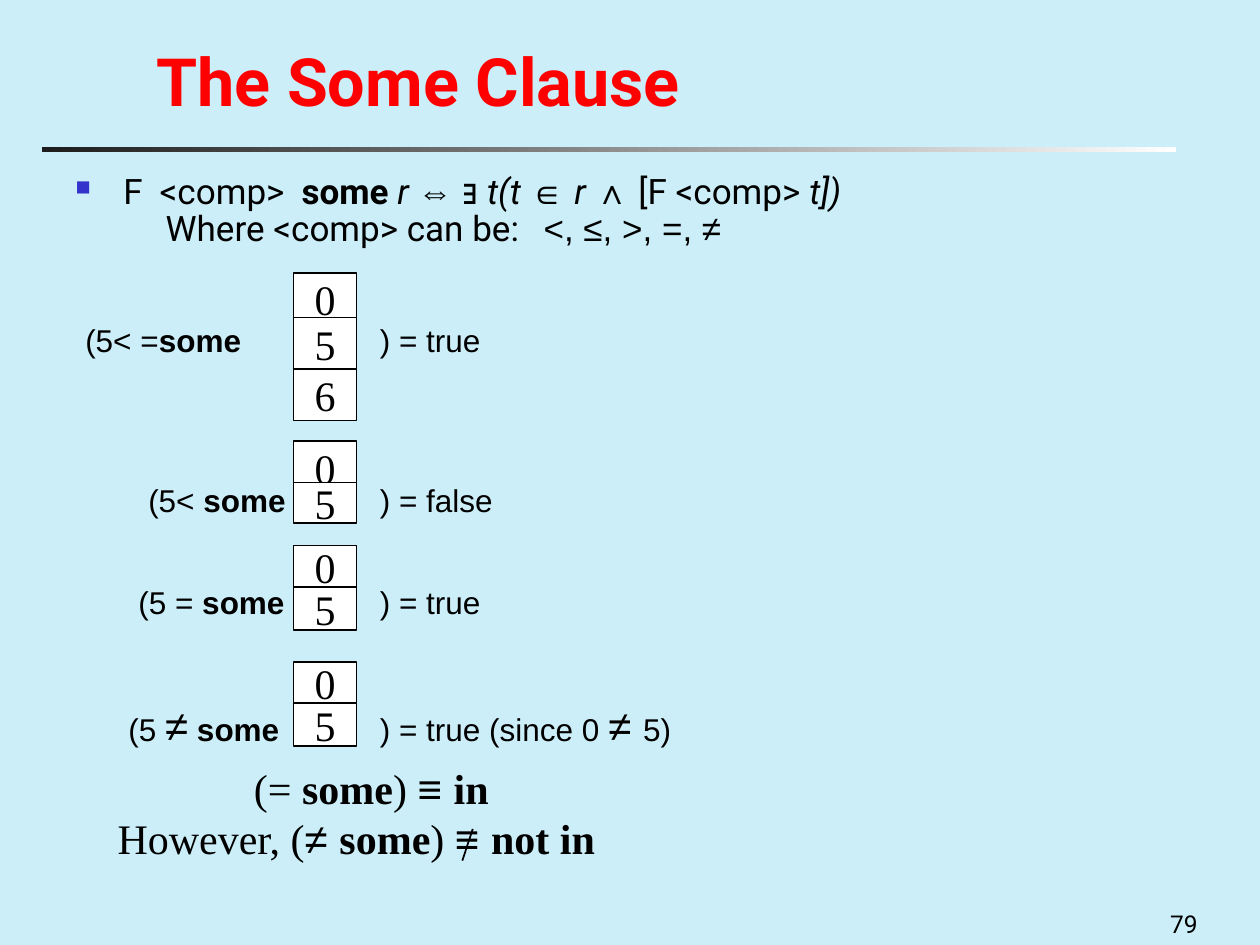
from lxml import etree
from pptx import Presentation
from pptx import util as u
from pptx.dml.color import RGBColor
from pptx.enum import shapes, text
from pptx.oxml import ns

ROBOTO = {"name": "Roboto", "size": u.Pt(20)}
ARIAL = {"name": "Arial", "size": u.Pt(18)}
TIMES = {"name": "Times New Roman", "size": u.Pt(24)}
SYMBOL = {"name": "Arial"}
LARGE = {"size": u.Pt(24)}
BOLD = {"bold": True}
ITALIC = {"italic": True}

COMPARISONS = [
    {"top": 5.51, "label_left": 1.47, "label_top": 0.84,
     "cells": [("0", 0, 1.04), ("5", 0.89, 1.04), ("6", 1.93, 1.04)],
     "before": [("(5< =", {}), ("some", BOLD)],
     "after": [(") = true", {})]},
    {"top": 8.89, "label_left": 2.74, "label_top": 0.69,
     "cells": [("0", 0, 1.07), ("5", 0.84, 0.81)],
     "before": [("(5< ", {}), ("some", BOLD)],
     "after": [(") = false", {})]},
    {"top": 11, "label_left": 2.54, "label_top": 0.63,
     "cells": [("0", 0, 0.86), ("5", 0.84, 0.86)],
     "before": [("(5 = ", {}), ("some", BOLD)],
     "after": [(") = true", {})]},
    {"top": 13.34, "label_left": 2.34, "label_top": 0.63,
     "cells": [("0", 0, 0.86), ("5", 0.84, 0.86)],
     "before": [("(5 ", {}), ("≠", LARGE), (" ", {}), ("some", BOLD)],
     "after": [(") = true (since 0 ", {}), ("≠ ", LARGE), ("5)", {})]},
]


def colour(value):
    """Turn a hex string into a colour."""
    return RGBColor.from_string(value)


def add_element(parent, tag, **attributes):
    """Append a drawing element with the given attributes."""
    return etree.SubElement(parent, ns.qn(tag), attributes)


def write_spans(para, spans, base, fill="000000"):
    """Write formatted spans that share a base format."""
    for words, changes in spans:
        span = para.add_run()
        span.text = words
        for key, value in {**base, **changes}.items():
            setattr(span.font, key, value)
        span.font.color.rgb = colour(fill)


def add_box(page, box, wrap=True, anchor=text.MSO_ANCHOR.TOP):
    """Add a text box and return its frame."""
    frame = page.shapes.add_textbox(*map(u.Cm, box)).text_frame
    for key, value in {"word_wrap": wrap, "vertical_anchor": anchor}.items():
        setattr(frame, key, value)
    return frame


def indent(para, left, hanging=0):
    """Set the left margin and hanging indent of a paragraph."""
    properties = para._p.get_or_add_pPr()
    properties.set("marL", str(u.Cm(left)))
    properties.set("indent", str(-u.Cm(hanging)))
    return properties


def add_tabs(properties, stops):
    """Add left tab stops to a paragraph."""
    tabs = add_element(properties, "a:tabLst")
    for stop in stops:
        add_element(tabs, "a:tab", pos=str(u.Cm(stop)), algn="l")


def add_header(page, box):
    """Place the title above its fading rule."""
    left, top, width, height = box
    frame = add_box(page, (left + 2.06, top, width - 2.06, height),
                    anchor=text.MSO_ANCHOR.BOTTOM)
    write_spans(frame.paragraphs[0], [("The Some Clause", BOLD)],
                {"name": "Roboto", "size": u.Pt(38)}, "FF0000")
    rule = page.shapes.add_shape(shapes.MSO_SHAPE.RECTANGLE, u.Cm(left), u.Cm(top + 2.97),
                                 u.Cm(22.86), u.Cm(0.1))
    rule.shadow.inherit = False
    rule.line.fill.background()
    rule.fill.gradient()
    rule.fill.gradient_angle = 0
    for stop, value in zip(rule.fill.gradient_stops, ("1C1C1C", "FFFFFF")):
        stop.color.rgb = colour(value)


def add_definition(page, box):
    """Place the bulleted definition and its list of operators."""
    frame = add_box(page, box)
    rule, operators = frame.paragraphs[0], frame.add_paragraph()
    properties = indent(rule, 0.97, 0.97)
    bullet_colour = add_element(properties, "a:buClr")
    add_element(bullet_colour, "a:srgbClr", val="3333CC")
    add_element(properties, "a:buSzPct", val="60000")
    add_element(properties, "a:buChar", char="■")
    add_tabs(properties, (1.7, 4.56))
    add_tabs(indent(operators, 1.82), (9.3,))
    for para in (rule, operators):
        para.line_spacing = 0.9
    write_spans(rule, [
        ("F\t<comp>\t", {}), ("some ", BOLD), ("r ", ITALIC), ("⇔ ∃ ", SYMBOL),
        ("t(t ", ITALIC), ("∈ ", SYMBOL), ("r ", ITALIC), ("∧", SYMBOL),
        (" [F <comp> ", {}), ("t])", ITALIC)], ROBOTO)
    write_spans(operators, [("Where <comp> can be:\t", {}), ("<, ≤, >, =, ≠", SYMBOL)], ROBOTO)


def add_cell(page, box, value):
    """Place one bordered value of a column."""
    cell = page.shapes.add_shape(shapes.MSO_SHAPE.RECTANGLE, *map(u.Cm, box))
    cell.shadow.inherit = False
    cell.fill.solid()
    cell.fill.fore_color.rgb = colour("FFFFFF")
    cell.line.color.rgb = colour("000000")
    cell.line.width = u.Pt(1)
    frame = cell.text_frame
    for key, setting in {"word_wrap": False, "vertical_anchor": text.MSO_ANCHOR.MIDDLE}.items():
        setattr(frame, key, setting)
    frame.paragraphs[0].alignment = text.PP_ALIGN.CENTER
    write_spans(frame.paragraphs[0], [(value, {})], TIMES)


def add_comparison(page, box, comparison):
    """Place a column of values between the two halves of its expression."""
    left, top, width, height = box
    for value, offset, cell_height in comparison["cells"]:
        add_cell(page, (left, top + offset, width, cell_height), value)
    label_left, label_top = comparison["label_left"], top + comparison["label_top"]
    labels = [(label_left, 4.65, comparison["before"]),
              (left + width + 0.22, 7, comparison["after"])]
    for start, label_width, spans in labels:
        frame = add_box(page, (start, label_top, label_width, height))
        write_spans(frame.paragraphs[0], spans, ARIAL)


def add_conclusion(page, box):
    """Place the two equivalences and the stroke that negates the second."""
    left, top, width, height = box
    frame = add_box(page, box)
    lines = [
        (3.17, [("(= ", {}), ("some", BOLD), (") ", {}), ("≡ ", SYMBOL), ("in", BOLD)]),
        (0.42, [("However, (", {}), ("≠ ", SYMBOL), ("some", BOLD), (") ", {}),
                ("≡ ", SYMBOL), ("not in", BOLD)])]
    for para, (margin, spans) in zip((frame.paragraphs[0], frame.add_paragraph()), lines):
        indent(para, margin)
        write_spans(para, spans, TIMES)
    stroke = page.shapes.add_connector(
        shapes.MSO_CONNECTOR.STRAIGHT, u.Cm(left + 7.83), u.Cm(top + 1.47),
        u.Cm(left + 7.62), u.Cm(top + 2.11))
    stroke.line.color.rgb = colour("000000")
    stroke.line.width = u.Pt(1)
    add_element(stroke._element.spPr, "a:effectLst")


def add_page_number(page, box):
    """Place the page number."""
    frame = add_box(page, box, wrap=False)
    write_spans(frame.paragraphs[0], [("79", {})], {"name": "Roboto", "size": u.Pt(14)})


def main():
    """Build and save the deck."""
    deck = Presentation()
    deck.slide_width, deck.slide_height = u.Cm(25.4), u.Cm(19.05)
    page = deck.slides.add_slide(deck.slide_layouts[6])
    page.background.fill.solid()
    page.background.fill.fore_color.rgb = colour("CCEEF8")
    add_header(page, (0.84, 0, 24.56, 2.54))
    add_page_number(page, (23.34, 18.21, 2.9, 0.99))
    add_definition(page, (1.27, 3.38, 22.43, 2.11))
    for comparison in COMPARISONS:
        add_comparison(page, (5.92, comparison["top"], 1.27, 1.02), comparison)
    add_conclusion(page, (1.7, 15.24, 19.89, 2.74))
    deck.save("out.pptx")


if __name__ == "__main__":
    main()
